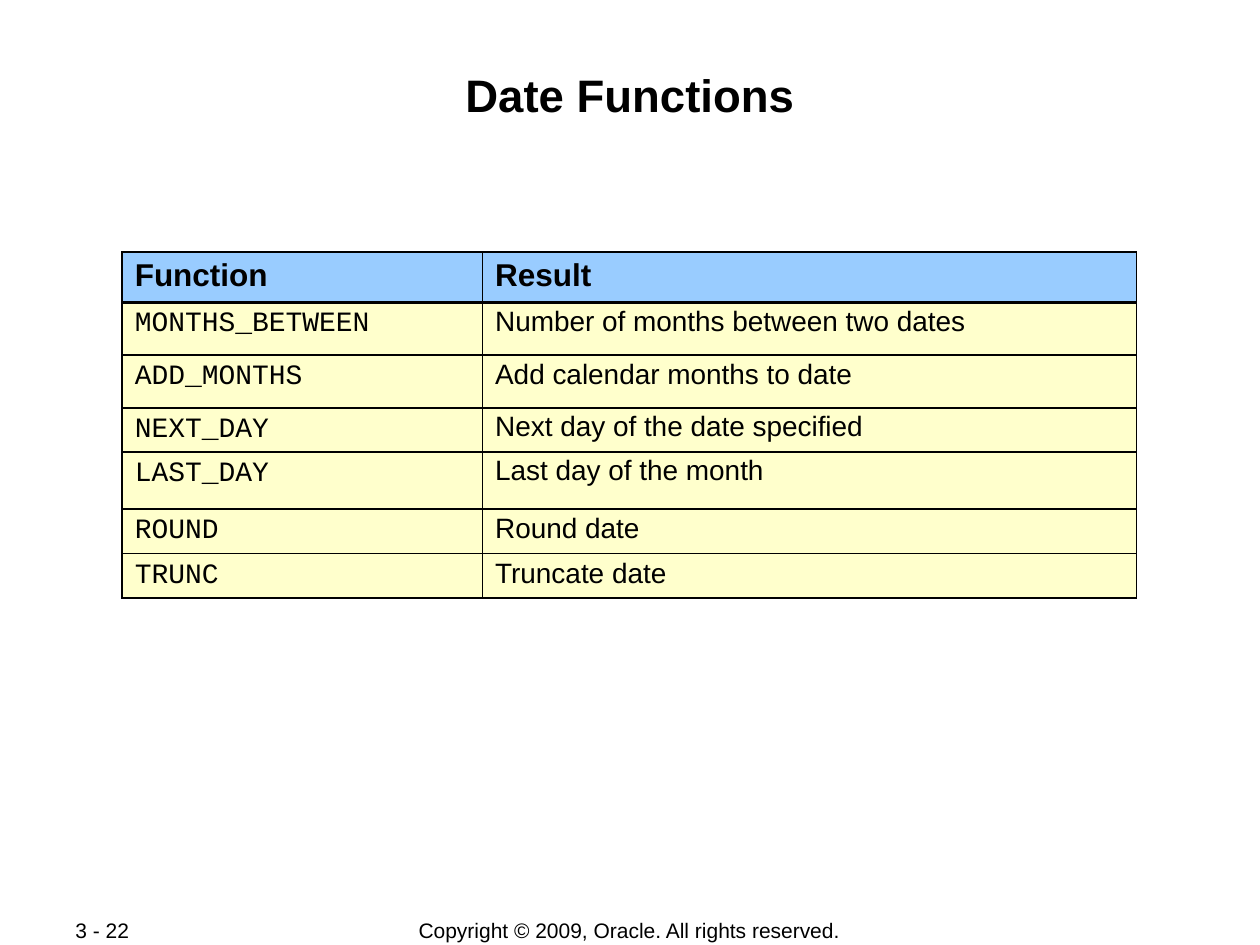
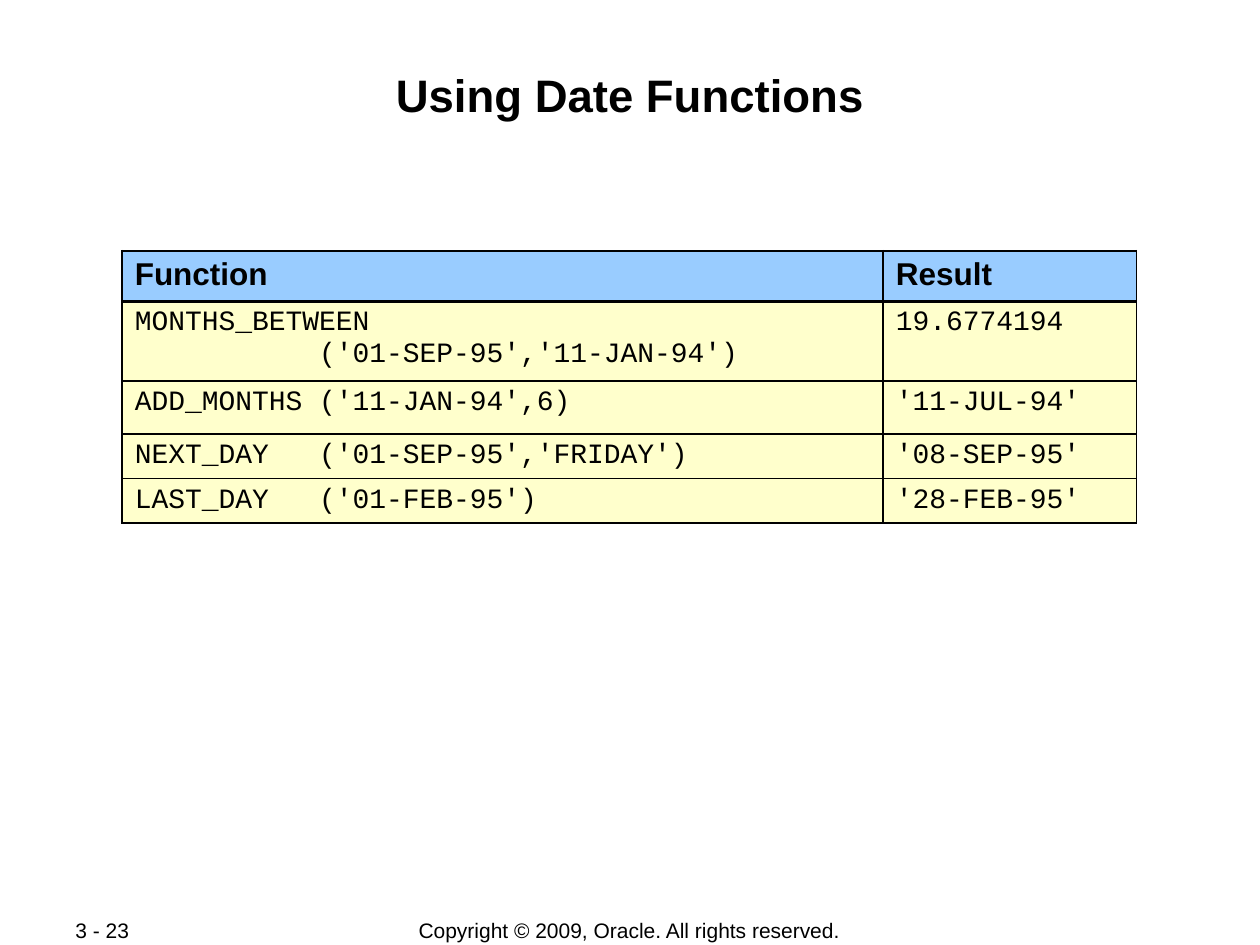
from lxml import etree
from pptx import Presentation
from pptx.dml.color import RGBColor
from pptx.enum.text import MSO_ANCHOR, PP_ALIGN
from pptx.oxml.ns import qn
from pptx.util import Inches, Pt

BLACK, HEADER_FILL, BODY_FILL = "000000", "99CCFF", "FFFFCC"
SANS, MONO = "Arial", "Courier New"
THIN, THICK = 1.08, 2.21
COPYRIGHT = "Copyright © 2009, Oracle. All rights reserved."


def set_font(para, name, size, bold=False):
    para.font.name = name
    para.font.size = Pt(size)
    para.font.bold = bold
    para.font.color.rgb = RGBColor.from_string(BLACK)


def set_borders(cell, top, bottom):
    properties = cell._tc.get_or_add_tcPr()
    sides = [("a:lnL", THIN), ("a:lnR", THIN), ("a:lnT", top), ("a:lnB", bottom)]
    # Border lines must come before the fill
    for index, (tag, width) in enumerate(sides):
        line = etree.Element(qn(tag), w=str(Pt(width)))
        fill = etree.SubElement(line, qn("a:solidFill"))
        etree.SubElement(fill, qn("a:srgbClr"), val=BLACK)
        properties.insert(index, line)


# Each body row: code, result, height, line spacing
pages = [
    {
        "title": "Date Functions", "number": "3 - 22", "top": 2,
        "columns": [2.86, 5.19], "result_font": SANS,
        "rows": [
            ("MONTHS_BETWEEN", "Number of months between two dates", 0.42, 0.9),
            ("ADD_MONTHS", "Add calendar months to date", 0.42, 0.9),
            ("NEXT_DAY", "Next day of the date specified", 0.35, 0.9),
            ("LAST_DAY", "Last day of the month", 0.45, 0.9),
            ("ROUND", "Round date", 0.35, 0.95),
            ("TRUNC", "Truncate date", 0.35, 0.95),
        ],
    },
    {
        "title": "Using Date Functions", "number": "3 - 23", "top": 1.99,
        "columns": [6.04, 2.01], "result_font": MONO,
        "rows": [
            ("MONTHS_BETWEEN\n           ('01-SEP-95','11-JAN-94')", "19.6774194", 0.63, 1.0),
            ("ADD_MONTHS ('11-JAN-94',6)", "'11-JUL-94'", 0.42, 0.95),
            ("NEXT_DAY   ('01-SEP-95','FRIDAY')", "'08-SEP-95'", 0.35, 0.95),
            ("LAST_DAY   ('01-FEB-95')", "'28-FEB-95'", 0.35, 0.95),
        ],
    },
]

deck = Presentation()
deck.slide_width, deck.slide_height = Inches(10), Inches(7.5)

for content in pages:
    page = deck.slides.add_slide(deck.slide_layouts[5])

    # Title
    title = page.shapes.title
    title.left, title.top = Inches(0.67), Inches(0.48)
    title.width, title.height = Inches(8.66), Inches(0.96)
    frame = title.text_frame
    frame.text = content["title"]
    frame.vertical_anchor = MSO_ANCHOR.TOP
    frame.margin_left = frame.margin_right = frame.margin_bottom = Inches(0.01)
    frame.margin_top = Inches(0.05)
    frame.paragraphs[0].alignment = PP_ALIGN.CENTER
    set_font(frame.paragraphs[0], SANS, 26, bold=True)

    # Footer: copyright line and page number
    footers = [(COPYRIGHT, 2.75, 4.49, PP_ALIGN.CENTER),
               (content["number"], 0.5, 1.06, PP_ALIGN.LEFT)]
    for text, left, width, alignment in footers:
        box = page.shapes.add_textbox(Inches(left), Inches(7.28), Inches(width), Inches(0.21))
        box.text_frame.text = text
        box.text_frame.word_wrap = True
        box.text_frame.vertical_anchor = MSO_ANCHOR.MIDDLE
        para = box.text_frame.paragraphs[0]
        para.alignment = alignment
        set_font(para, SANS, 12)

    # Function table
    rows = [("Function", "Result", 0.4, 1.0)] + content["rows"]
    height = sum(row[2] for row in rows)
    table = page.shapes.add_table(len(rows), 2, Inches(0.97), Inches(content["top"]),
                                  Inches(8.05), Inches(height)).table
    table.first_row = table.horz_banding = False
    for column, width in zip(table.columns, content["columns"]):
        column.width = Inches(width)

    for row_index, (code, result, row_height, spacing) in enumerate(rows):
        table.rows[row_index].height = Inches(row_height)
        is_header = row_index == 0
        for column_index, text in enumerate((code, result)):
            cell = table.cell(row_index, column_index)
            cell.text = text
            cell.fill.solid()
            cell.fill.fore_color.rgb = RGBColor.from_string(HEADER_FILL if is_header else BODY_FILL)
            set_borders(cell, top=THICK if row_index == 1 else THIN,
                        bottom=THICK if is_header else THIN)
            body_font = content["result_font"] if column_index else MONO
            for para in cell.text_frame.paragraphs:
                para.line_spacing = spacing
                if is_header:
                    set_font(para, SANS, 18, bold=True)
                else:
                    set_font(para, body_font, 16)

deck.save("out.pptx")
